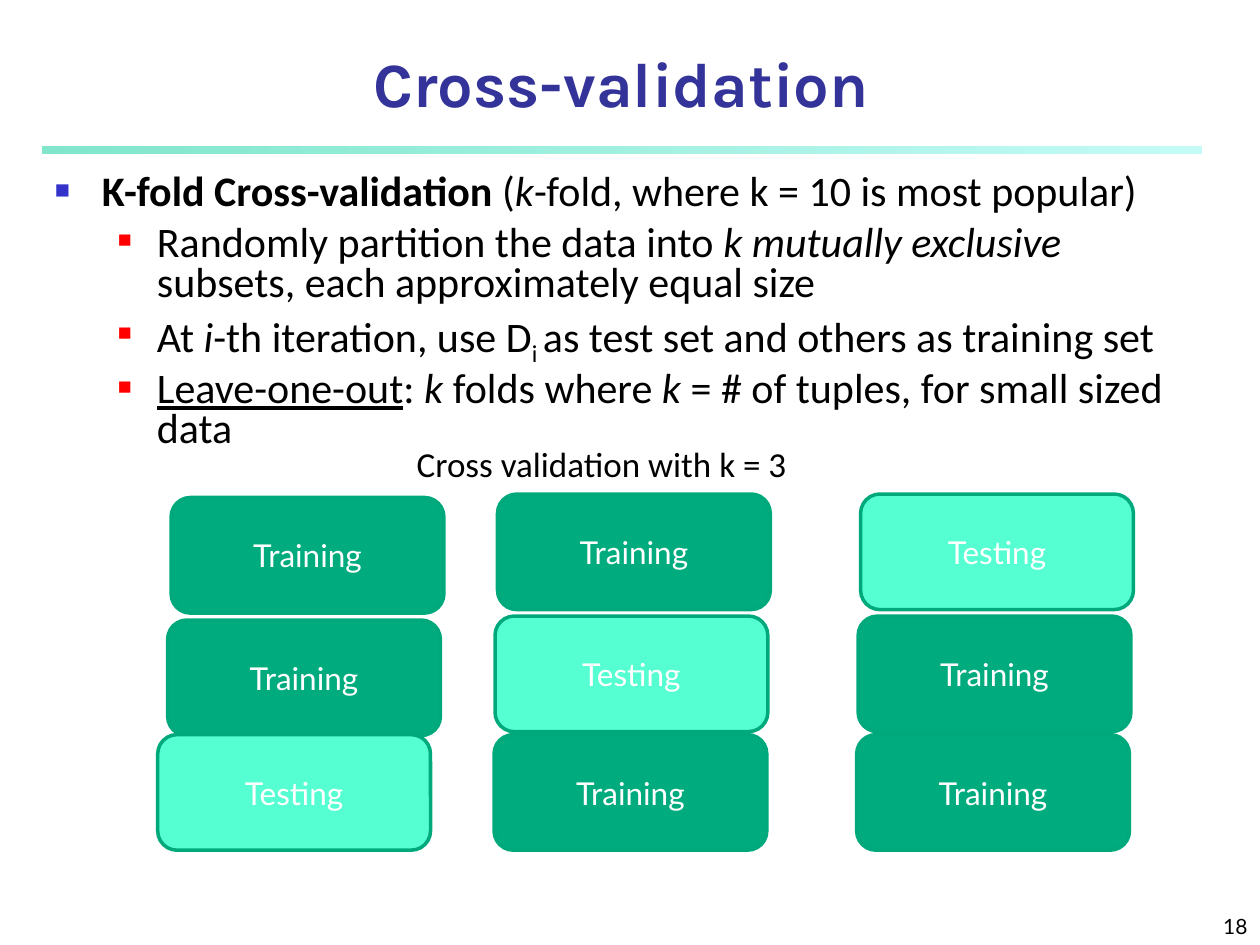
import dataclasses

import lxml.etree
import pptx
import pptx.dml.color
import pptx.enum.shapes
import pptx.enum.text
import pptx.oxml.ns
import pptx.util

Cm, Pt = pptx.util.Cm, pptx.util.Pt
SHAPE = pptx.enum.shapes.MSO_SHAPE
ALIGN = pptx.enum.text.PP_ALIGN
ANCHOR = pptx.enum.text.MSO_ANCHOR
qn = pptx.oxml.ns.qn


@dataclasses.dataclass(frozen=True)
class Theme:
    title: str = "333399"
    ink: str = "000000"
    white: str = "FFFFFF"
    train: str = "00AB7E"
    test: str = "56FFD2"
    edge: str = "00A97C"
    rule: tuple = (("00CE98", 50), ("8FF9EF", 52))
    marks: tuple = (("3333CC", 60), ("FF0000", 55))  # bullet colour, percent
    head: str = "Karla"
    text: str = "Calibri"
    label: str = "Lato"
    title_size: int = 36
    body_size: int = 24
    note_size: int = 20
    cell_size: int = 18
    page_size: int = 12


def shade(hue):
    return pptx.dml.color.RGBColor.from_string(hue)


def place(shape, box):
    shape.left, shape.top, shape.width, shape.height = map(Cm, box)


class Deck:
    """Holds the theme and the current slide."""

    def __init__(self, theme):
        self.theme = theme
        self.file = pptx.Presentation()
        self.file.slide_width, self.file.slide_height = Cm(25.4), Cm(19.05)
        self.slide = self.file.slides.add_slide(self.file.slide_layouts[1])

    def style(self, run, face, size, hue, bold=False):
        font = run.font
        font.name, font.size, font.bold = face, Pt(size), bold
        font.color.rgb = shade(hue)

    def fill_text(self, shape, text, align, anchor, look):
        frame = shape.text_frame
        frame.text = text
        frame.word_wrap = True
        frame.auto_size = pptx.enum.text.MSO_AUTO_SIZE.NONE
        frame.vertical_anchor = anchor
        line = frame.paragraphs[0]
        line.alignment = align
        self.style(line.runs[0], *look)

    def title(self, text, box):
        shape = self.slide.shapes.title
        place(shape, box)
        look = (self.theme.head, self.theme.title_size, self.theme.title, True)
        self.fill_text(shape, text, ALIGN.CENTER, ANCHOR.BOTTOM, look)

    def rule(self, box):
        """Draw the bar under the title as a see-through gradient."""
        bar = self.slide.shapes.add_shape(SHAPE.RECTANGLE, *map(Cm, box))
        bar.shadow.inherit = False
        bar.line.fill.background()
        bar.fill.gradient()
        bar.fill.gradient_angle = 0
        for stop, (hue, _) in zip(bar.fill.gradient_stops, self.theme.rule):
            stop.color.rgb = shade(hue)
        tints = bar._element.spPr.iter(qn("a:srgbClr"))
        for tint, (_, part) in zip(list(tints), self.theme.rule):
            lxml.etree.SubElement(tint, qn("a:alpha"), val=str(part * 1000))

    def bullet(self, line, level):
        hue, part = self.theme.marks[level]
        left, hang = ((0.95, 0.95), (2.06, 0.79))[level]
        props = line._p.get_or_add_pPr()
        props.set("marL", str(Cm(left)))
        props.set("indent", str(-Cm(hang)))
        tint = lxml.etree.SubElement(props, qn("a:buClr"))
        lxml.etree.SubElement(tint, qn("a:srgbClr"), val=hue)
        lxml.etree.SubElement(props, qn("a:buSzPct"), val=str(part * 1000))
        lxml.etree.SubElement(props, qn("a:buFont"), typeface="Arial")
        lxml.etree.SubElement(props, qn("a:buChar"), char="■")

    def list(self, items, box):
        """Fill the body; each item is a level and its (text, mark) parts."""
        body = self.slide.placeholders[1]
        place(body, box)
        frame = body.text_frame
        frame.auto_size = pptx.enum.text.MSO_AUTO_SIZE.NONE
        for index, (level, parts) in enumerate(items):
            line = frame.add_paragraph() if index else frame.paragraphs[0]
            line.level = level
            self.bullet(line, level)
            line.line_spacing = 0.8
            line.space_before = Pt(5.7 if index else 0)
            for text, mark in parts:
                run = line.add_run()
                run.text = text
                self.style(run, self.theme.text, self.theme.body_size,
                           self.theme.ink, mark == "bold")
                run.font.italic = mark == "italic"
                run.font.underline = mark == "under"
                if mark == "sub":
                    run._r.get_or_add_rPr().set("baseline", "-25000")

    def note(self, text, box, align, anchor, face, size):
        shape = self.slide.shapes.add_textbox(*map(Cm, box))
        self.fill_text(shape, text, align, anchor, (face, size, self.theme.ink))

    def cell(self, text, fill, box):
        shape = self.slide.shapes.add_shape(
            SHAPE.ROUNDED_RECTANGLE, *map(Cm, box))
        shape.shadow.inherit = False
        shape.fill.solid()
        shape.fill.fore_color.rgb = shade(fill)
        shape.line.color.rgb = shade(self.theme.edge)
        shape.line.width = Pt(2)
        look = (self.theme.label, self.theme.cell_size, self.theme.white)
        self.fill_text(shape, text, ALIGN.CENTER, ANCHOR.MIDDLE, look)


ITEMS = (
    (0, (("K-fold Cross-validation", "bold"), (" (", ""), ("k", "italic"),
         ("-fold, where k = 10 is most popular)", ""))),
    (1, (("Randomly partition the data into ", ""),
         ("k mutually exclusive", "italic"),
         (" subsets, each approximately equal size", ""))),
    (1, (("At ", ""), ("i", "italic"), ("-th iteration, use D", ""),
         ("i ", "sub"), ("as test set and others as training set", ""))),
    (1, (("Leave-one-out", "under"), (": ", ""), ("k", "italic"),
         (" folds where ", ""), ("k", "italic"),
         (" = # of tuples, for small sized data", ""))),
)

# Left edges and tops of the three folds in each round
ROUNDS = (
    ((3.45, 3.38, 3.18), (10.03, 12.5, 14.81)),
    ((10.03, 9.98, 9.96), (9.96, 12.42, 14.81)),
    ((17.35, 17.3, 17.27), (9.96, 12.42, 14.81)),
)


def main():
    theme = Theme()
    deck = Deck(theme)
    deck.rule((0.85, 2.96, 23.37, 0.14))
    deck.title("Cross-validation", (0.85, 0.85, 23.34, 1.69))
    deck.list(ITEMS, (0.85, 3.39, 23.5, 14.6))
    deck.note("18", (20.11, 17.99, 5.29, 1.06), ALIGN.RIGHT, ANCHOR.BOTTOM,
              theme.label, theme.page_size)
    for col, (lefts, tops) in enumerate(ROUNDS):
        for row, (left, top) in enumerate(zip(lefts, tops)):
            held = row + col == 2  # the test fold moves up one each round
            deck.cell("Testing" if held else "Training",
                      theme.test if held else theme.train,
                      (left, top, 5.5, 2.33))
    deck.note("Cross validation with k = 3", (8.15, 8.79, 8.5, 1.11),
              ALIGN.LEFT, ANCHOR.TOP, theme.text, theme.note_size)
    deck.file.save("out.pptx")


if __name__ == "__main__":
    main()
